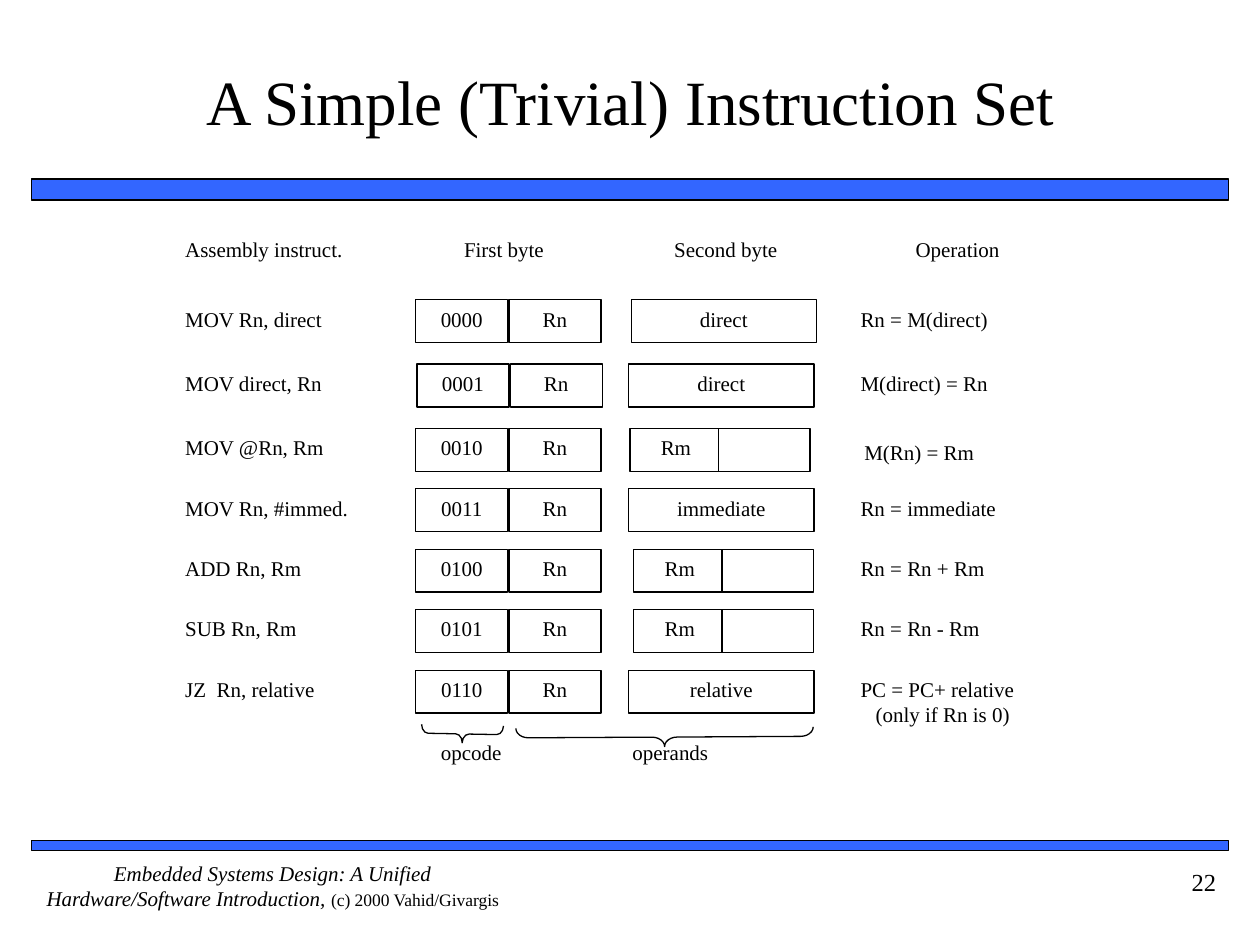
from pptx import Presentation, util as u
from pptx.dml.color import RGBColor
from pptx.enum import shapes, text

FONT, BLACK, WHITE, BLUE = "Times New Roman", "000000", "FFFFFF", "3366FF"
LEFT, CENTER, RIGHT = text.PP_ALIGN.LEFT, text.PP_ALIGN.CENTER, text.PP_ALIGN.RIGHT

# Content
TITLE = "A Simple (Trivial) Instruction Set"
BOOK = "Embedded Systems Design: A Unified Hardware/Software Introduction, "
CREDIT = "(c) 2000 Vahid/Givargis"
PAGE = "22"
HEADINGS = [("Assembly instruct.", 1.47, LEFT), ("First byte", 3.23, CENTER),
            ("Second byte", 4.99, CENTER), ("Operation", 6.83, CENTER)]
# instruction, opcode, second-byte fields, operation, left of second byte
INSTRUCTIONS = [
    ("MOV Rn, direct", "0000", ["direct"], ["Rn = M(direct)"], 5.01),
    ("MOV direct, Rn", "0001", ["direct"], ["M(direct) = Rn"], 4.99),
    ("MOV @Rn, Rm", "0010", ["Rm", ""], ["M(Rn) = Rm"], 5.0),
    ("MOV Rn, #immed.", "0011", ["immediate"], ["Rn = immediate"], 4.99),
    ("ADD Rn, Rm", "0100", ["Rm", ""], ["Rn = Rn + Rm"], 5.03),
    ("SUB Rn, Rm", "0101", ["Rm", ""], ["Rn = Rn - Rm"], 5.03),
    ("JZ  Rn, relative", "0110", ["relative"],
     ["PC = PC+ relative", "(only if Rn is 0)"], 4.99),
]
# label, label left, brace box, rotation, curvature
BRACES = [("opcode", 3.5, (3.6, 5.5, 0.14, 0.65), 271.1, 0.38),
          ("operands", 5.02, (5.2, 4.67, 0.15, 2.36), 269.7, 0.67)]

# Grid
ROW_TOP, ROW_H = 2.38, 0.34
WIDE_STEP, STEP, WIDE_ROWS = 0.51, 0.48, 2
HALF_W, BYTE_W, TEXT_W = 0.73, 1.47, 1.54
FIRST_LEFT, HALF_STEP, SECOND_STEP = 3.3, 0.74, 0.7
NUDGES = {"0001": 0.01}                       # first byte, to the right
OPERATION_SHIFTS = {"0010": (0.03, 0.04)}     # operation, right and down

prs = Presentation()
prs.slide_width, prs.slide_height = u.Inches(10), u.Inches(7.5)
slide = prs.slides.add_slide(prs.slide_layouts[6])


def color(value):
    return RGBColor.from_string(value)


def inches(box):
    return [u.Inches(length) for length in box]


def style(run, size, italic=False):
    run.font.name, run.font.size, run.font.italic = FONT, u.Pt(size), italic
    run.font.color.rgb = color(BLACK)


def write(shape, lines, size=12, align=LEFT, insets=(0, 0.05, 0, 0.05),
          anchor=text.MSO_ANCHOR.TOP):
    frame = shape.text_frame
    frame.word_wrap, frame.vertical_anchor = True, anchor
    (frame.margin_left, frame.margin_top,
     frame.margin_right, frame.margin_bottom) = inches(insets)
    frame.text = "\n".join(lines)
    for paragraph in frame.paragraphs:
        paragraph.alignment = align
        for run in paragraph.runs:
            style(run, size)
    return frame


def label(box, lines, **options):
    return write(slide.shapes.add_textbox(*inches(box)), lines, **options)


def outlined(kind, box, fill=None, width=0.75):
    shape = slide.shapes.add_shape(kind, *inches(box))
    shape.shadow.inherit = False
    if fill:
        shape.fill.solid()
        shape.fill.fore_color.rgb = color(fill)
    else:
        shape.fill.background()
    shape.line.color.rgb, shape.line.width = color(BLACK), u.Pt(width)
    return shape


def cell(left, top, width, content):
    field = outlined(shapes.MSO_SHAPE.RECTANGLE, (left, top, width, ROW_H), WHITE)
    if content:
        write(field, [content], align=CENTER, insets=(0, 0.05, 0, 0))


# Title, bars and footer
for top, height in [(1.42, 0.17), (6.67, 0.08)]:
    outlined(shapes.MSO_SHAPE.RECTANGLE, (0.25, top, 9.5, height), BLUE, 1)
label((0.42, 0.17, 9.17, 1.25), [TITLE], size=36, align=CENTER,
      anchor=text.MSO_ANCHOR.MIDDLE)
footer = label((0.25, 6.83, 3.83, 0.5), [BOOK], align=CENTER, insets=(0, 0, 0, 0))
footer.paragraphs[0].runs[0].font.italic = True
credit = footer.paragraphs[0].add_run()
credit.text = CREDIT
style(credit, 10)
label((8.75, 6.83, 1, 0.5), [PAGE], size=14, align=RIGHT,
      insets=(0.1, 0.05, 0.1, 0.05))

# Column headings
for heading, left, align in HEADINGS:
    label((left, 1.83, TEXT_W, ROW_H), [heading], align=align)

# Instruction rows
for row, (instruction, opcode, fields, operation, second_left) in enumerate(INSTRUCTIONS):
    top = ROW_TOP + row * STEP + min(row, WIDE_ROWS) * (WIDE_STEP - STEP)
    label((1.47, top, TEXT_W, ROW_H), [instruction])
    first_left = FIRST_LEFT + NUDGES.get(opcode, 0)
    for column, content in enumerate([opcode, "Rn"]):
        cell(first_left + column * HALF_STEP, top, HALF_W, content)
    field_w = BYTE_W if len(fields) == 1 else HALF_W
    for column, content in enumerate(fields):
        cell(second_left + column * SECOND_STEP, top, field_w, content)
    right, down = OPERATION_SHIFTS.get(opcode, (0, 0))
    lines = label((6.83 + right, top + down, TEXT_W, ROW_H * len(operation)), operation)
    for condition in lines.paragraphs[1:]:
        condition._p.get_or_add_pPr().set("marL", str(u.Inches(0.12)))

# Braces under the bytes
for name, left, box, rotation, curvature in BRACES:
    brace = outlined(shapes.MSO_SHAPE.LEFT_BRACE, box)
    brace.rotation = rotation
    brace.adjustments[0] = curvature
    label((left, 5.82, 1, 0.36), [name])

prs.save("out.pptx")
